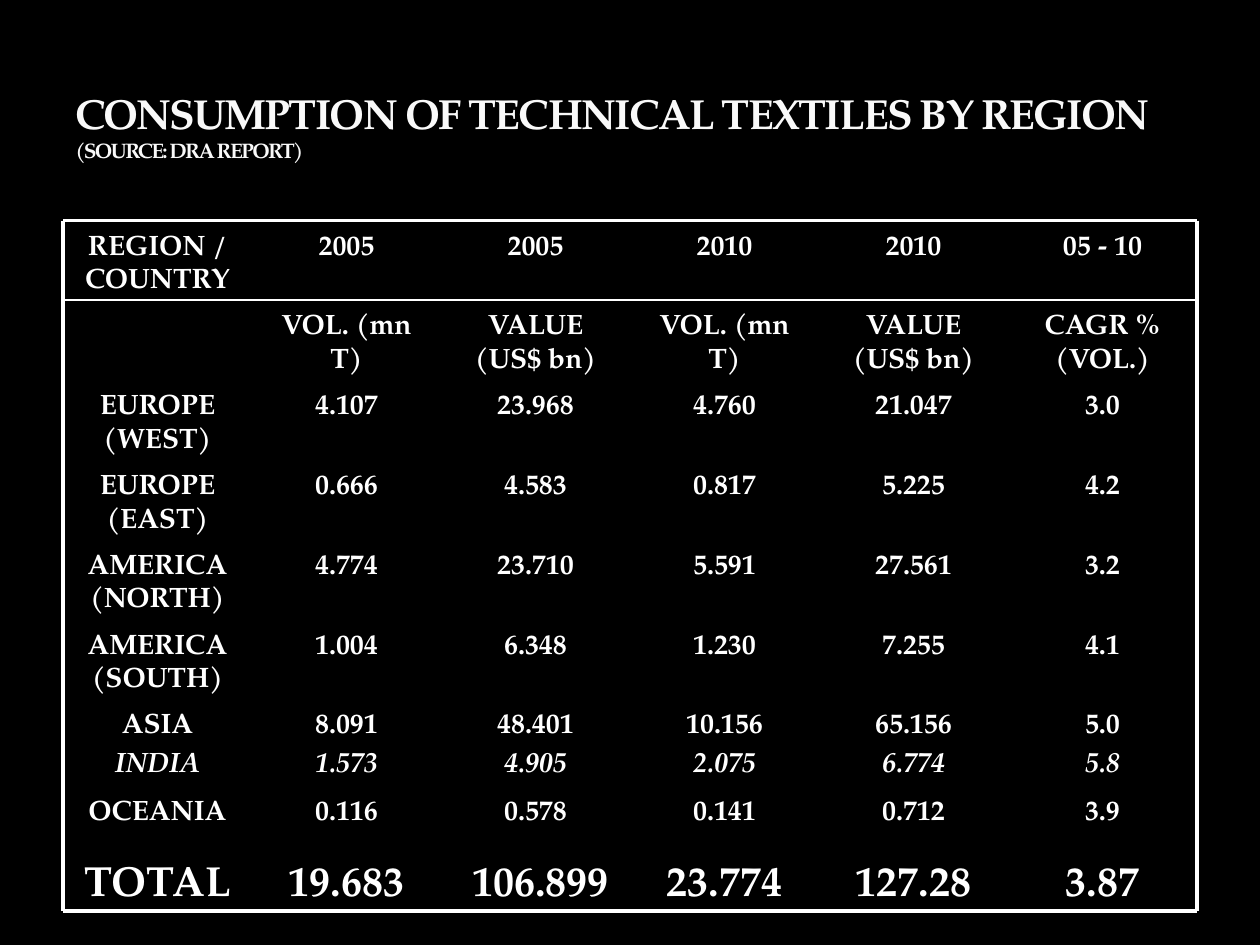
from lxml.etree import SubElement
from pptx import Presentation
from pptx.dml.color import RGBColor
from pptx.enum.shapes import MSO_CONNECTOR
from pptx.enum.text import MSO_ANCHOR, PP_ALIGN
from pptx.oxml import parse_xml
from pptx.oxml.ns import nsdecls, qn
from pptx.util import Inches, Pt

WIDTH, HEIGHT = Inches(10), Inches(7.5)
COLUMN = WIDTH * 0.15
ROW_HEIGHTS = [3.8 / 6] * 6 + [0.69, 0.49, 0.5]
NO_GRID_STYLE = "{2D5ABB26-0587-4C30-8999-92F81FD0307C}"
BODY = {"name": "TeX Gyre Pagella", "size": Pt(16), "bold": True}
ITALIC = BODY | {"italic": True}
LARGE = BODY | {"size": Pt(24)}
SMALL = BODY | {"size": Pt(12)}
ROWS = [
    ["REGION / COUNTRY", "2005", "2005", "2010", "2010", "05 - 10"],
    ["", "VOL. (mn T)", "VALUE (US$ bn)", "VOL. (mn T)", "VALUE (US$ bn)", "CAGR % (VOL.)"],
    ["EUROPE (WEST)", "4.107", "23.968", "4.760", "21.047", "3.0"],
    ["EUROPE (EAST)", "0.666", "4.583", "0.817", "5.225", "4.2"],
    ["AMERICA (NORTH)", "4.774", "23.710", "5.591", "27.561", "3.2"],
    ["AMERICA (SOUTH)", "1.004", "6.348", "1.230", "7.255", "4.1"],
    ["ASIA\nINDIA", "8.091\n1.573", "48.401\n4.905", "10.156\n2.075", "65.156\n6.774", "5.0\n5.8"],
    ["OCEANIA", "0.116", "0.578", "0.141", "0.712", "3.9"],
    ["TOTAL", "19.683", "106.899", "23.774", "127.28", "3.87"],
]


def rgb(value):
    """Turn a hex string into a colour."""
    return RGBColor.from_string(value)


def style(font, look, color="FFFFFF"):
    """Apply a dict of format values and a colour to a font."""
    for name, value in look.items():
        setattr(font, name, value)
    font.color.rgb = rgb(color)


def add_title(slide, left, top, width, height):
    """Place the heading and its source line at the foot of the box."""
    tf = slide.shapes.add_textbox(left, top, width, height).text_frame
    tf.word_wrap = True
    tf.vertical_anchor = MSO_ANCHOR.BOTTOM
    p = tf.paragraphs[0]
    lines = [("CONSUMPTION OF TECHNICAL TEXTILES BY REGION", LARGE), ("(SOURCE: DRA REPORT)", SMALL)]
    for i, (text, look) in enumerate(lines):
        if i:
            p.add_line_break()
        r = p.add_run()
        r.text = text
        style(r.font, look, "F9F9F9")
        props = r.font._element
        props.set("spc", "-100")
        props.insert(0, parse_xml(
            f'<a:ln {nsdecls("a")} w="{Pt(0.25)}"><a:solidFill><a:srgbClr val="3C4422">'
            '<a:alpha val="25000"/></a:srgbClr></a:solidFill></a:ln>'))


def fill_cell(cell, text, look):
    """Write centred lines in a cell, each line after the first in italics."""
    cell.fill.solid()
    cell.fill.fore_color.rgb = rgb("000000")
    size = look["size"].pt
    cell.margin_top, cell.margin_bottom = Inches(0.05 + size / 1000), Inches(0.02)
    tf = cell.text_frame
    tf.text = text
    for i, p in enumerate(tf.paragraphs):
        p.alignment = PP_ALIGN.CENTER
        p.line_spacing = Pt(size * 1.2)
        if i:
            p.space_before = Pt(size * 0.2)
        style(p.font, look)
        for r in p.runs:
            style(r.font, ITALIC if i else look)


def add_consumption_table(slide, left, top, width, height):
    """Place the table of consumption by region in the box."""
    rows, cols = len(ROWS), len(ROWS[0])
    table = slide.shapes.add_table(rows, cols, left, top, width, height).table
    table.first_row = table.horz_banding = False
    table._tbl.tblPr.find(qn("a:tableStyleId")).text = NO_GRID_STYLE
    for column in table.columns:
        column.width = int(COLUMN)
    for i, (row, texts) in enumerate(zip(table.rows, ROWS)):
        row.height = Inches(ROW_HEIGHTS[i])
        for j, text in enumerate(texts):
            fill_cell(table.cell(i, j), text, LARGE if i == rows - 1 else BODY)
    table.cell(rows - 1, 2).margin_left = Inches(0.18)


def add_frame(slide, left, top, width, height):
    """Rule off the header row and frame the box."""
    right, bottom = left + width, top + height
    header = top + Inches(ROW_HEIGHTS[0])
    rules = [
        (left, header, right, header, 1),
        (left, bottom, right, bottom, 2.25),
        (left, top, left, bottom, 2.25),
        (right, top, right, bottom, 2.25),
        (left, top, right, top, 2.25),
    ]
    for *ends, weight in rules:
        rule = slide.shapes.add_connector(MSO_CONNECTOR.STRAIGHT, *ends)
        rule.line.color.rgb = rgb("FFFFFF")
        rule.line.width = Pt(weight)
        SubElement(rule._element.spPr, qn("a:effectLst"))


def main():
    """Build and save the slide."""
    prs = Presentation()
    prs.slide_width, prs.slide_height = WIDTH, HEIGHT
    slide = prs.slides.add_slide(prs.slide_layouts[6])
    fill = slide.background.fill
    fill.solid()
    fill.fore_color.rgb = rgb("000000")
    left, width = int(WIDTH * 0.05), int(COLUMN * 6)
    add_title(slide, left, Inches(-0.17), width, Inches(1.51))
    box = left, Inches(1.75), width, Inches(sum(ROW_HEIGHTS))
    add_consumption_table(slide, *box)
    add_frame(slide, *box)
    prs.save("out.pptx")


if __name__ == "__main__":
    main()
